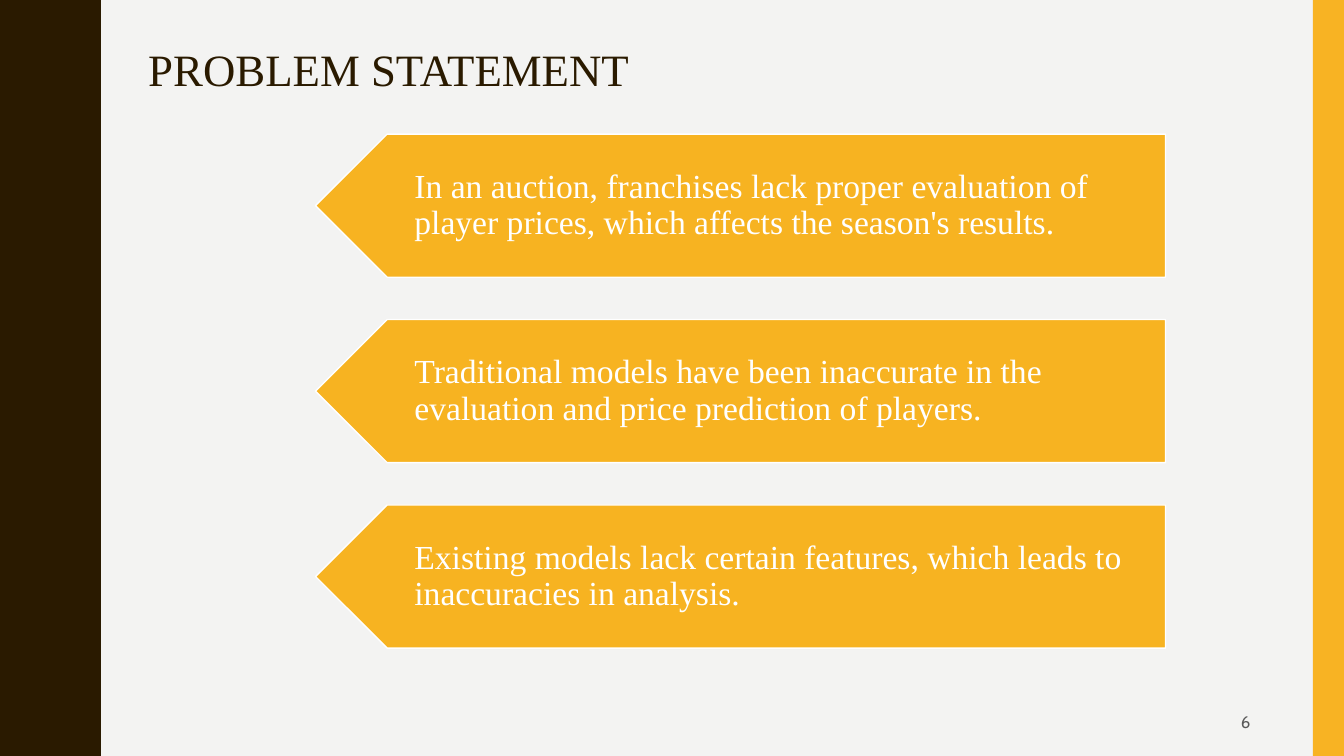
"""Build the problem statement slide with three arrow banners."""
from pptx import Presentation
from pptx.dml.color import RGBColor
from pptx.enum.shapes import MSO_SHAPE
from pptx.enum.text import MSO_ANCHOR, PP_ALIGN
from pptx.util import Inches, Pt

TITLE = "PROBLEM STATEMENT"
PROBLEMS = [
    "In an auction, franchises lack proper evaluation of player prices, "
    "which affects the season's results.",
    "Traditional models have been inaccurate in the evaluation and price "
    "prediction of players.",
    "Existing models lack certain features, which leads to inaccuracies in analysis.",
]
PAGE_NUMBER = "6"

SERIF = "Times New Roman"
BROWN, GOLD, BANNER_GOLD = "2A1A00", "F8B323", "F7B321"
PAPER, WHITE, GREY = "F3F3F2", "FFFFFF", "595959"

WIDTH, HEIGHT = 13.33, 7.5
BANNER_TOP, BANNER_STEP, BANNER_HEIGHT = 1.33, 1.84, 1.42
WAVE_PERIOD = 1.5
WAVE_RISE = [
    (0.78, 0), (0.78, 0.07), (0.79, 0.14), (0.8, 0.2), (0.81, 0.25),
    (0.83, 0.29), (0.85, 0.33), (0.87, 0.38), (0.89, 0.42), (0.91, 0.46),
    (0.93, 0.5), (0.95, 0.55), (0.96, 0.61), (0.97, 0.68), (0.97, 0.75),
]


def color(value):
    return RGBColor.from_string(value)


def box(left, top, width, height):
    return [Inches(length) for length in (left, top, width, height)]


def paint(shape, fill, line=None):
    shape.shadow.inherit = False
    shape.fill.solid()
    shape.fill.fore_color.rgb = color(fill)
    if line:
        shape.line.color.rgb = color(line)
        shape.line.width = Pt(1)
    else:
        shape.line.fill.background()


def write(shape, words, size, font, ink, align=PP_ALIGN.LEFT,
          anchor=MSO_ANCHOR.MIDDLE, spacing=0.9, insets=(0.1, 0.05, 0.1, 0.05)):
    frame = shape.text_frame
    frame.text = words
    frame.word_wrap = True
    frame.vertical_anchor = anchor
    (frame.margin_left, frame.margin_top,
     frame.margin_right, frame.margin_bottom) = box(*insets)
    paragraph = frame.paragraphs[0]
    paragraph.alignment = align
    paragraph.line_spacing = spacing
    paragraph.font.size = Pt(size)
    paragraph.font.name = font
    paragraph.font.color.rgb = color(ink)


def add_wave(shapes):
    fall = [(x, WAVE_PERIOD - y) for x, y in reversed(WAVE_RISE[:-1])]
    edge = [(x, y + period * WAVE_PERIOD)
            for period in range(round(HEIGHT / WAVE_PERIOD))
            for x, y in WAVE_RISE + fall]
    outline = shapes.build_freeform(0, 0, scale=Inches(1))
    outline.add_line_segments(edge + [(0, HEIGHT)], close=True)
    paint(outline.convert_to_shape(), BROWN)


def add_banner(shapes, top, problem):
    arrow = shapes.add_shape(MSO_SHAPE.PENTAGON, *box(3.13, top, 8.43, BANNER_HEIGHT))
    arrow.rotation = 180
    paint(arrow, BANNER_GOLD, WHITE)
    label = shapes.add_textbox(*box(3.49, top, 8.08, BANNER_HEIGHT))
    write(label, problem, 24, SERIF, WHITE, insets=(0.62, 0.1, 0.19, 0.1))


def main():
    deck = Presentation()
    deck.slide_width, deck.slide_height = Inches(WIDTH), Inches(HEIGHT)
    slide = deck.slides.add_slide(deck.slide_layouts[5])
    slide.background.fill.solid()
    slide.background.fill.fore_color.rgb = color(PAPER)
    shapes = slide.shapes

    add_wave(shapes)
    stripe = shapes.add_shape(MSO_SHAPE.RECTANGLE, *box(13.02, 0, 0.31, HEIGHT))
    paint(stripe, GOLD)

    for row, problem in enumerate(PROBLEMS):
        add_banner(shapes, BANNER_TOP + row * BANNER_STEP, problem)

    title = shapes.title
    title.left, title.top, title.width, title.height = box(1.37, 0.42, 11.13, 0.92)
    write(title, TITLE, 32, SERIF, BROWN, anchor=MSO_ANCHOR.TOP)

    page_number = shapes.add_textbox(*box(9.42, 6.97, 3.08, 0.38))
    write(page_number, PAGE_NUMBER, 12, "Cabin", GREY, align=PP_ALIGN.RIGHT, spacing=1.0)

    deck.save("out.pptx")


if __name__ == "__main__":
    main()
